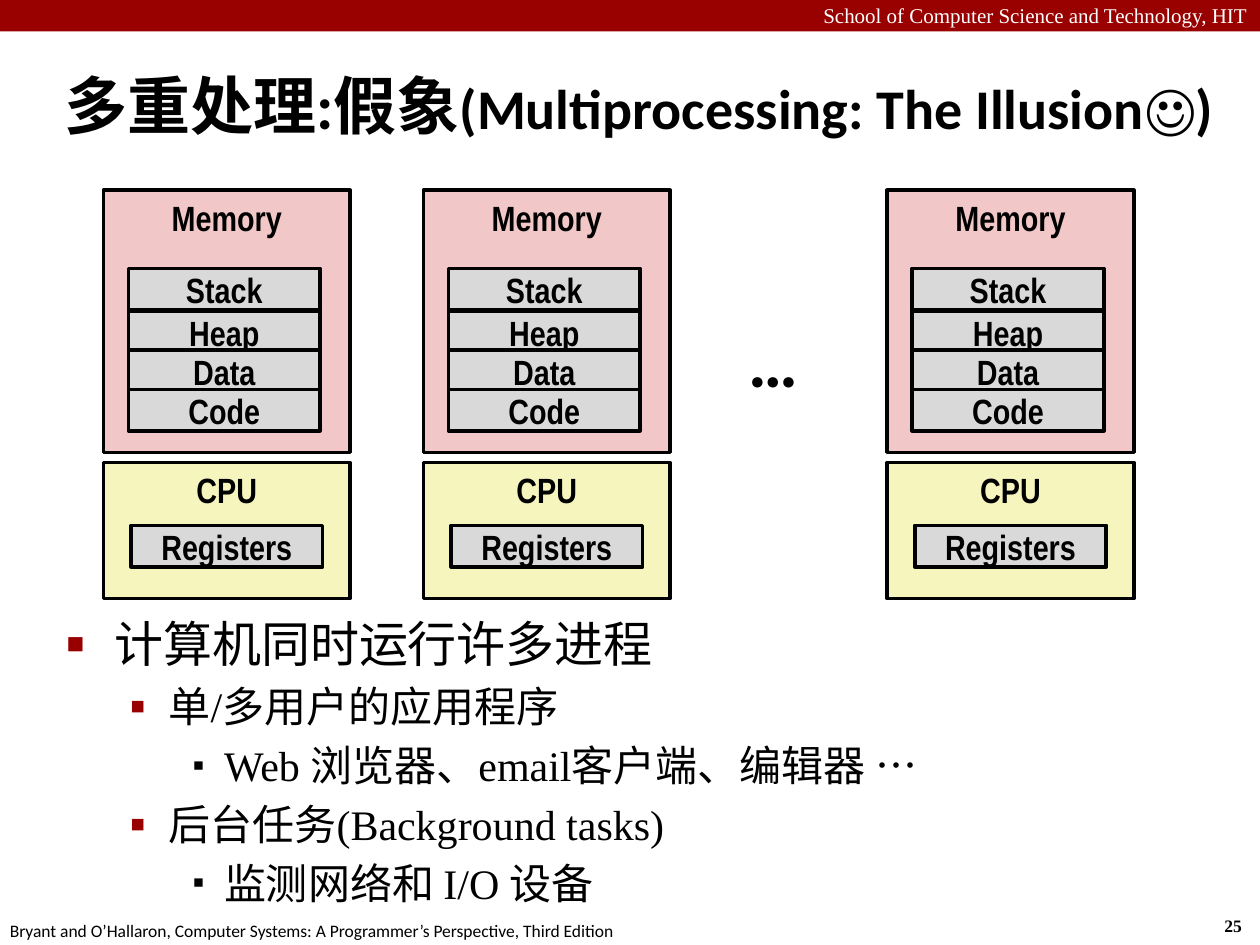
import pptx
import pptx.util
import pptx.dml.color
import pptx.enum.shapes
import pptx.enum.text
import pptx.oxml.ns
import lxml.etree

Inches = pptx.util.Inches
Pt = pptx.util.Pt
RGBColor = pptx.dml.color.RGBColor
Align = pptx.enum.text.PP_ALIGN
Anchor = pptx.enum.text.MSO_ANCHOR

BLACK = RGBColor(0x00, 0x00, 0x00)
WHITE = RGBColor(0xFF, 0xFF, 0xFF)
CRIMSON = RGBColor(0x99, 0x00, 0x00)
PINK = RGBColor(0xF1, 0xC7, 0xC7)
YELLOW = RGBColor(0xF6, 0xF5, 0xBD)
GREY = RGBColor(0xD9, 0xD9, 0xD9)

HEADING_FONT = "Calibri"
BODY_FONT = "Times New Roman"
DIAGRAM_FONT = "Arial Narrow"

# Outline levels: left margin, hanging indent, size, bullet, bullet colour, bullet percent
LEVELS = [
    (0.38, 0.38, 28, "■", CRIMSON, 60),
    (0.81, 0.31, 24, "▪", CRIMSON, 110),
    (1.25, 0.25, 24, "▪", BLACK, 80),
]
OUTLINE = [
    (0, "计算机同时运行许多进程"),
    (1, "单/多用户的应用程序"),
    (2, "Web 浏览器、email客户端、编辑器 …"),
    (1, "后台任务(Background tasks)"),
    (2, "监测网络和 I/O 设备"),
]
PROCESS_LEFTS = [0.82, 3.36, 7.04]
SEGMENTS = [("Stack", 2.13), ("Heap", 2.47), ("Data", 2.78), ("Code", 3.09)]


class SlideBuilder:
    def __init__(self, page):
        self.page = page

    def style(self, span, font, size, color=BLACK, bold=False):
        span.font.name = font
        span.font.size = Pt(size)
        span.font.color.rgb = color
        span.font.bold = bold

    def indent(self, para, margin, hanging):
        properties = para._p.get_or_add_pPr()
        properties.set("marL", str(Inches(margin)))
        properties.set("indent", str(-Inches(hanging)))
        return properties

    def place(self, box, left, top, width, height):
        box.left, box.top = Inches(left), Inches(top)
        box.width, box.height = Inches(width), Inches(height)

    def rectangle(self, shapes, left, top, width, height, fill):
        box = shapes.add_shape(
            pptx.enum.shapes.MSO_SHAPE.RECTANGLE,
            Inches(left), Inches(top), Inches(width), Inches(height))
        box.shadow.inherit = False
        box.fill.solid()
        box.fill.fore_color.rgb = fill
        box.line.fill.background()
        return box

    def block(self, shapes, text, left, top, width, height, fill, anchor):
        box = self.rectangle(shapes, left, top, width, height, fill)
        box.line.color.rgb = BLACK
        box.line.width = Pt(2)
        box.text_frame.text = text
        box.text_frame.vertical_anchor = anchor
        para = box.text_frame.paragraphs[0]
        para.alignment = Align.CENTER
        self.style(para.runs[0], DIAGRAM_FONT, 20, bold=True)

    def label(self, text, left, top, width, height, font, size,
              color=BLACK, bold=False, align=Align.LEFT, wrap=False):
        box = self.page.shapes.add_textbox(
            Inches(left), Inches(top), Inches(width), Inches(height))
        box.text_frame.text = text
        box.text_frame.word_wrap = wrap
        box.text_frame.auto_size = pptx.enum.text.MSO_AUTO_SIZE.SHAPE_TO_FIT_TEXT
        para = box.text_frame.paragraphs[0]
        para.alignment = align
        self.style(para.runs[0], font, size, color, bold)

    def title(self, pieces):
        box = self.page.shapes.title
        self.place(box, 0.41, 0.41, 9.51, 0.83)
        frame = box.text_frame
        frame.word_wrap = True
        frame.auto_size = pptx.enum.text.MSO_AUTO_SIZE.NONE
        frame.vertical_anchor = Anchor.MIDDLE
        para = frame.paragraphs[0]
        para.alignment = Align.LEFT
        self.indent(para, 0.13, 0.13)
        for text, size in pieces:
            span = para.add_run()
            span.text = text
            self.style(span, HEADING_FONT, size, bold=True)

    def bullet(self, properties, mark, color, percent):
        qn = pptx.oxml.ns.qn
        holder = lxml.etree.SubElement(properties, qn("a:buClr"))
        lxml.etree.SubElement(holder, qn("a:srgbClr"), val=str(color))
        lxml.etree.SubElement(properties, qn("a:buSzPct"), val=str(percent * 1000))
        lxml.etree.SubElement(properties, qn("a:buFont"), typeface="Arial")
        lxml.etree.SubElement(properties, qn("a:buChar"), char=mark)

    def outline(self, items):
        box = self.page.shapes.add_textbox(
            Inches(0.43), Inches(4.82), Inches(9.4), Inches(2.43))
        frame = box.text_frame
        frame.word_wrap = True
        frame.text = "\n".join(text for _, text in items)
        for number, (para, (level, _)) in enumerate(zip(frame.paragraphs, items)):
            margin, hanging, size, mark, color, percent = LEVELS[level]
            para.level = level
            properties = self.indent(para, margin, hanging)
            self.bullet(properties, mark, color, percent)
            para.space_before = Pt(size * 0.2 if number else 0)
            self.style(para.runs[0], BODY_FONT, size)

    def process(self, left):
        shapes = self.page.shapes.add_group_shape().shapes
        self.block(shapes, "CPU", left, 3.67, 1.96, 1.08, YELLOW, Anchor.TOP)
        self.block(shapes, "Registers", left + 0.22, 4.17, 1.52, 0.33, GREY, Anchor.MIDDLE)
        self.block(shapes, "Memory", left, 1.51, 1.96, 2.08, PINK, Anchor.TOP)
        for name, top in SEGMENTS:
            self.block(shapes, name, left + 0.2, top, 1.52, 0.33, GREY, Anchor.MIDDLE)


def main():
    deck = pptx.Presentation()
    deck.slide_width, deck.slide_height = Inches(10), Inches(7.5)
    builder = SlideBuilder(deck.slides.add_slide(deck.slide_layouts[5]))

    # Header band and footer
    builder.rectangle(builder.page.shapes, 0, 0, 10, 0.25, CRIMSON)
    builder.label("School of Computer Science and Technology, HIT", 0, -0.03, 10, 0.3,
                  BODY_FONT, 12, WHITE, align=Align.RIGHT, wrap=True)
    builder.label("25", 9.62, 7.21, 0.37, 0.27, BODY_FONT, 10, bold=True)
    builder.label("Bryant and O’Hallaron, Computer Systems: A Programmer’s Perspective, "
                  "Third Edition", -0.02, 7.25, 5.08, 0.27, HEADING_FONT, 10)

    # Title and outline
    builder.title([("多重处理:假象", 36), ("(Multiprocessing: The Illusion☺)", 32)])
    builder.outline(OUTLINE)

    # Processes, each with its own memory and CPU
    for left in PROCESS_LEFTS:
        builder.process(left)
    builder.label("…", 5.84, 2.47, 0.79, 0.77, HEADING_FONT, 40, bold=True)

    deck.save("out.pptx")


if __name__ == "__main__":
    main()
